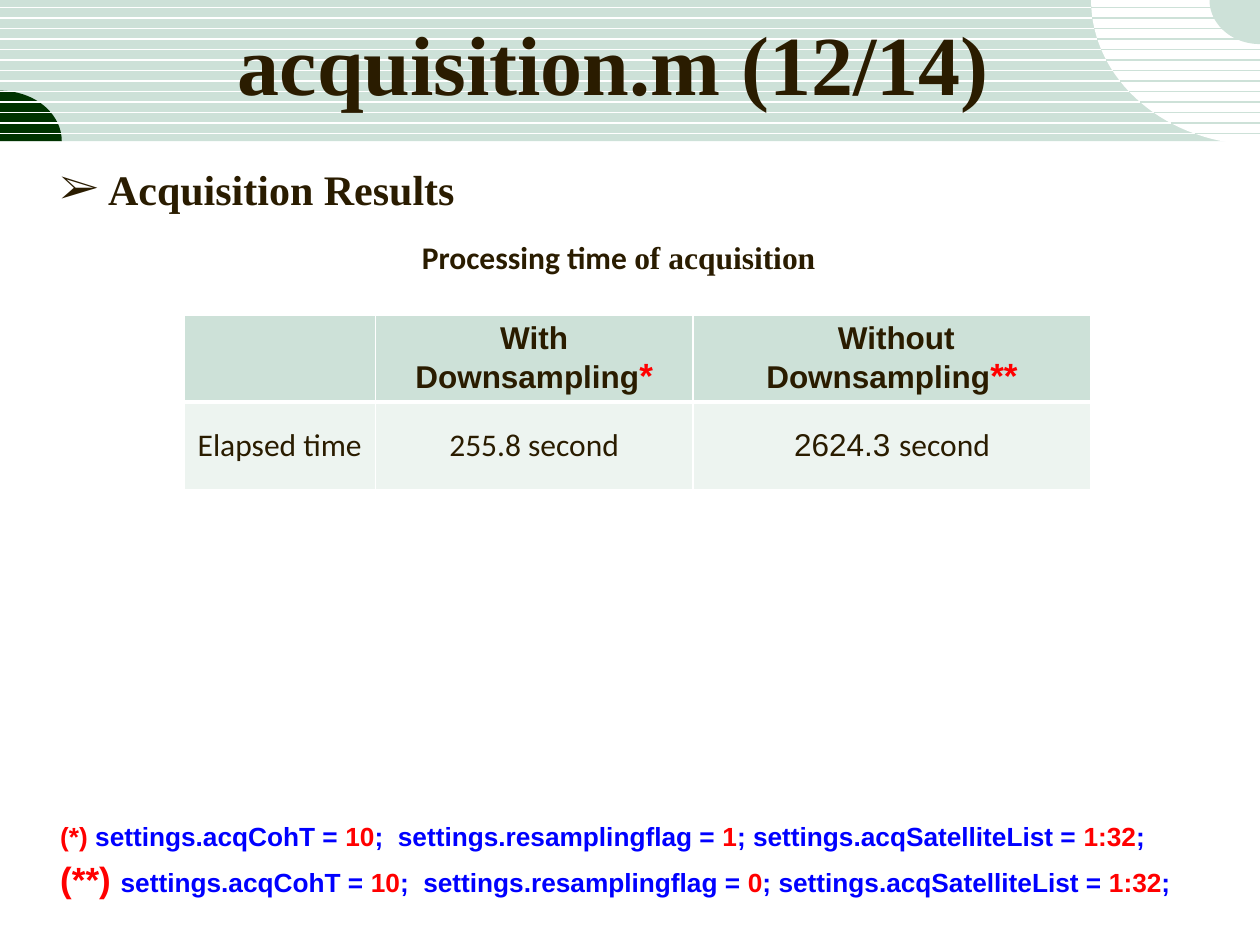
from math import cos, pi, sin, sqrt
from typing import NamedTuple

from pptx import Presentation
from pptx.dml.color import RGBColor
from pptx.enum.shapes import MSO_CONNECTOR as Conn, MSO_SHAPE as Kind
from pptx.enum.text import MSO_ANCHOR as Anchor, MSO_AUTO_SIZE as Fit, PP_ALIGN as Align
from pptx.oxml.ns import qn
from pptx.util import Inches, Pt
from lxml.etree import SubElement as Sub

MINT = RGBColor(0xCD, 0xE1, 0xD8)
PALE = RGBColor(0xED, 0xF4, 0xF0)
GREEN = RGBColor(0x00, 0x33, 0x00)
BROWN = RGBColor(0x2A, 0x1C, 0x00)
RED = RGBColor(0xFF, 0x00, 0x00)
BLUE = RGBColor(0x00, 0x00, 0xFF)
WHITE = RGBColor(0xFF, 0xFF, 0xFF)
TIMES, ARIAL, CALIBRI = "Times New Roman", "Arial", "Calibri"


class Span(NamedTuple):
    text: str
    size: float = 18
    font: str = ARIAL
    color: RGBColor = BROWN
    bold: bool = False


class Wedge(NamedTuple):
    x: float
    y: float
    rx: float
    ry: float
    start: float
    color: RGBColor


def write(para, spans: list[Span]) -> None:
    for span in spans:
        run = para.add_run()
        run.text = span.text
        font = run.font
        font.size, font.name, font.bold = Pt(span.size), span.font, span.bold
        font.color.rgb = span.color


def paint(shape, color: RGBColor) -> None:
    shape.shadow.inherit = False
    shape.fill.solid()
    shape.fill.fore_color.rgb = color
    shape.line.fill.background()


def draw_wedge(shapes, wedge: Wedge, steps: int = 32) -> None:
    turns = [wedge.start + pi / 2 * i / steps for i in range(steps + 1)]
    arc = [(Inches(wedge.x + wedge.rx * cos(t)), Inches(wedge.y + wedge.ry * sin(t)))
           for t in turns]
    build = shapes.build_freeform(Inches(wedge.x), Inches(wedge.y))
    build.add_line_segments(arc, close=True)
    paint(build.convert_to_shape(), wedge.color)


def draw_line(shapes, left: float, right: float, y: float,
              color: RGBColor, width: float) -> None:
    line = shapes.add_connector(Conn.STRAIGHT, Inches(left), Inches(y),
                                Inches(right), Inches(y))
    line.line.color.rgb = color
    line.line.width = Pt(width)
    Sub(line.element.spPr, qn("a:effectLst"))


def draw_band(shapes) -> None:
    paint(shapes.add_shape(Kind.RECTANGLE, 0, 0, Inches(10), Inches(1.12)), MINT)
    draw_wedge(shapes, Wedge(0, 1.12, 0.49, 0.4, -pi / 2, GREEN))
    rows = [0.06 + i / 12 for i in range(13)]
    for y in rows:
        draw_line(shapes, 0, 9.99, y, WHITE, 1)
    disc = Wedge(10, 0, 1.34, 1.15, pi / 2, WHITE)
    draw_wedge(shapes, disc)
    for y in rows:
        left = disc.x - disc.rx * sqrt(1 - (y / disc.ry) ** 2)
        draw_line(shapes, left, 10, y, MINT, 0.75)
    draw_wedge(shapes, Wedge(10, 0, 0.4, 0.35, pi / 2, MINT))


def add_text(shapes, left: float, top: float, width: float, height: float):
    box = shapes.add_textbox(Inches(left), Inches(top), Inches(width), Inches(height))
    box.text_frame.word_wrap = True
    return box.text_frame


def add_edges(cell, top: float, base: float) -> None:
    props = cell._tc.get_or_add_tcPr()
    for side, width in (("L", 1), ("R", 1), ("T", top), ("B", base)):
        edge = Sub(props, qn(f"a:ln{side}"), w=str(Pt(width)))
        fill = Sub(edge, qn("a:solidFill"))
        Sub(fill, qn("a:srgbClr"), val=str(WHITE))


def draw_table(shapes) -> None:
    star = Span("*", 20, color=RED, bold=True)
    rows = [
        [[],
         [Span("With Downsampling", bold=True), star],
         [Span(" Without Downsampling", bold=True), star._replace(text="**")]],
        [[Span("Elapsed time", font=CALIBRI)],
         [Span("255.8 second", font=CALIBRI)],
         [Span("2624.3 "), Span("second", font=CALIBRI)]],
    ]
    looks = [(MINT, 1, 3), (PALE, 3, 1)]
    table = shapes.add_table(2, 3, Inches(1.46), Inches(2.5),
                             Inches(7.2), Inches(1.16)).table
    for col, width in zip(table.columns, (1.52, 2.52, 3.16)):
        col.width = Inches(width)
    for row, height in zip(table.rows, (0.46, 0.7)):
        row.height = Inches(height)
    for r, (row, (color, top, base)) in enumerate(zip(rows, looks)):
        for c, spans in enumerate(row):
            cell = table.cell(r, c)
            add_edges(cell, top, base)
            cell.fill.solid()
            cell.fill.fore_color.rgb = color
            cell.vertical_anchor = Anchor.MIDDLE
            para = cell.text_frame.paragraphs[0]
            para.alignment = Align.CENTER
            write(para, spans)


def write_note(para, mark: str, size: float, flag: str) -> None:
    red = Span(mark, size, color=RED, bold=True)
    blue = Span("settings.acqCohT = ", 15, color=BLUE, bold=True)
    value = red._replace(size=15)
    para.line_spacing = 1.15
    write(para, [
        red, blue, value._replace(text="10"),
        blue._replace(text=";  settings.resamplingflag = "), value._replace(text=flag),
        blue._replace(text="; settings.acqSatelliteList = "), value._replace(text="1:32"),
        blue._replace(text=";"),
    ])


def set_title(slide) -> None:
    title = slide.shapes.title
    title.element.getparent().append(title.element)
    title.left, title.top = Inches(1.58), Inches(0.16)
    title.width, title.height = Inches(6.58), Inches(0.67)
    frame = title.text_frame
    frame.auto_size, frame.word_wrap = Fit.NONE, True
    frame.vertical_anchor = Anchor.MIDDLE
    para = frame.paragraphs[0]
    para.alignment = Align.CENTER
    write(para, [Span("acquisition.m (12/14)", 48, TIMES, bold=True)])


def main() -> None:
    deck = Presentation()
    deck.slide_width, deck.slide_height = Inches(10), Inches(7.5)
    slide = deck.slides.add_slide(deck.slide_layouts[5])
    shapes = slide.shapes
    draw_band(shapes)
    set_title(slide)
    draw_table(shapes)

    label = add_text(shapes, 2.99, 1.83, 3.84, 0.42)
    label.vertical_anchor = Anchor.MIDDLE
    label.paragraphs[0].alignment = Align.CENTER
    write(label.paragraphs[0], [Span("Processing time ", font=CALIBRI, bold=True),
                                Span("of acquisition", font=TIMES, bold=True)])

    notes = add_text(shapes, 0.38, 6.42, 9.5, 0.78)
    notes.auto_size = Fit.SHAPE_TO_FIT_TEXT
    write_note(notes.paragraphs[0], "(*) ", 15, "1")
    write_note(notes.add_paragraph(), "(**) ", 20, "0")

    head = add_text(shapes, 0.38, 1.25, 9, 0.58).paragraphs[0]
    props = head._p.get_or_add_pPr()
    props.set("marL", str(Inches(0.38)))
    props.set("indent", str(Inches(-0.38)))
    Sub(props, qn("a:buFont"), typeface=TIMES)
    Sub(props, qn("a:buChar"), char="➢")
    write(head, [Span("Acquisition Results", 24, TIMES, bold=True)])

    deck.save("out.pptx")


if __name__ == "__main__":
    main()
